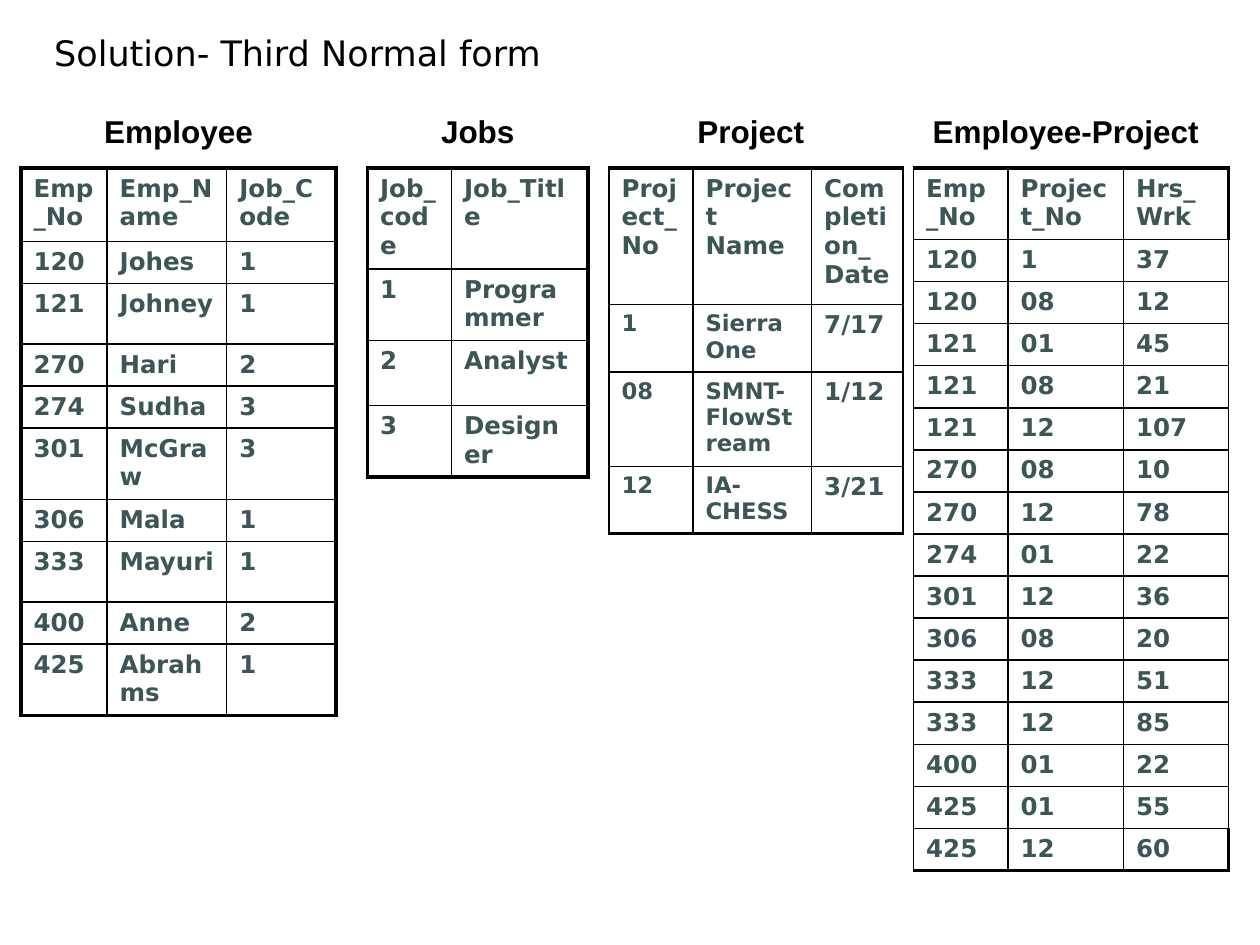
"""Build the third normal form slide: four titled relation tables."""
from lxml import etree
from pptx import Presentation, util as u
from pptx.dml.color import RGBColor
from pptx.enum import text as t
from pptx.oxml import ns

UNIT = u.Inches(1) // 12
THIN, THICK = 1, 2.25
INK, SLATE = "000000", "3C5658"


def write(frame, content, size=14, font="DejaVu Sans", color=SLATE, bold=True, align=None):
    para = frame.paragraphs[0]
    para.alignment = align
    span = para.add_run()
    span.text = content
    span.font.size = u.Pt(size)
    span.font.name = font
    span.font.bold = bold
    span.font.color.rgb = RGBColor.from_string(color)


def draw_borders(cell, **widths):
    properties = cell._tc.get_or_add_tcPr()
    for side in "LRTB":
        line = etree.SubElement(properties, ns.qn(f"a:ln{side}"), w=str(u.Pt(widths[side])))
        fill = etree.SubElement(line, ns.qn("a:solidFill"))
        etree.SubElement(fill, ns.qn("a:srgbClr"), val=INK)


deck = Presentation()
deck.slide_width, deck.slide_height = 120 * UNIT, 90 * UNIT
page = deck.slides.add_slide(deck.slide_layouts[6])

title = page.shapes.add_textbox(u.Inches(0.03), 2 * UNIT, u.Inches(7.31), u.Inches(0.47))
title.text_frame.word_wrap = True
title.text_frame.vertical_anchor = t.MSO_ANCHOR.BOTTOM
title.text_frame.margin_left = u.Inches(0.4)
write(title.text_frame, "Solution- Third Normal form", size=20, color=INK, bold=False)

assignments = [
    ("120", "1", "37"), ("120", "08", "12"), ("121", "01", "45"),
    ("121", "08", "21"), ("121", "12", "107"), ("270", "08", "10"),
    ("270", "12", "78"), ("274", "01", "22"), ("301", "12", "36"),
    ("306", "08", "20"), ("333", "12", "51"), ("333", "12", "85"),
    ("400", "01", "22"), ("425", "01", "55"), ("425", "12", "60"),
]
employees = [
    ("120", "Johes", "1"), ("121", "Johney", "1"), ("270", "Hari", "2"),
    ("274", "Sudha", "3"), ("301", "McGraw", "3"), ("306", "Mala", "1"),
    ("333", "Mayuri", "1"), ("400", "Anne", "2"), ("425", "Abrahms", "1"),
]
projects = [
    ("1", "Sierra One", "7/17"), ("08", "SMNT-FlowStream", "1/12"),
    ("12", "IA-CHESS", "3/21"),
]
jobs = [("1", "Programmer"), ("2", "Analyst"), ("3", "Designer")]

relations = [
    dict(name="Employee-Project", heading=(85, 33), left=87, columns=(9, 11, 10),
         rows=[6.7] + [3.95] * 15, edges=(THIN, THIN), corner=THICK, body=(14, 14, 14),
         records=[("Emp_No", "Project_No", "Hrs_Wrk")] + assignments),
    dict(name="Employee", heading=(3, 28), left=2, columns=(8.2, 11.4, 10.4),
         rows=[7, 4, 5.75, 4, 4, 6.7, 4, 5.75, 4, 6.7], edges=(THICK, THICK),
         corner=THICK, body=(14, 14, 14),
         records=[("Emp_No", "Emp_Name", "Job_Code")] + employees),
    dict(name="Project", heading=(58, 27), left=58, columns=(8, 11.3, 8.7),
         rows=[13, 6.2, 8.7, 6.2], edges=(THIN, THIN), corner=THIN, body=(13, 13, 14),
         records=[("Project_No", "Project Name", "Completion_Date")] + projects),
    dict(name="Jobs", heading=(35, 21), left=35, columns=(8, 13),
         rows=[9.45, 6.7, 6.2, 6.7], edges=(THICK, THICK), corner=THICK, body=(14, 14),
         records=[("Job_code", "Job_Title")] + jobs),
]

for relation in relations:
    columns, rows = relation["columns"], relation["rows"]
    table = page.shapes.add_table(
        len(rows), len(columns), relation["left"] * UNIT, 16 * UNIT,
        int(sum(columns) * UNIT), int(sum(rows) * UNIT)).table
    table.first_row = table.horz_banding = False
    for column, width in zip(table.columns, columns):
        column.width = int(width * UNIT)
    last_row, last_column = len(rows) - 1, len(columns) - 1
    for i, record in enumerate(relation["records"]):
        table.rows[i].height = int(rows[i] * UNIT)
        right_edge = relation["corner"] if i in (0, last_row) else relation["edges"][1]
        for j, value in enumerate(record):
            cell = table.cell(i, j)
            draw_borders(
                cell,
                L=relation["edges"][0] if j == 0 else THIN,
                R=right_edge if j == last_column else THIN,
                T=THICK if i == 0 else THIN,
                B=THICK if i == last_row else THIN)
            cell.fill.background()
            write(cell.text_frame, value, size=relation["body"][j] if i else 14)

for relation in sorted(relations, key=lambda item: item["left"]):
    left, width = relation["heading"]
    box = page.shapes.add_textbox(left * UNIT, 10 * UNIT, width * UNIT, 5 * UNIT)
    box.text_frame.word_wrap = False
    box.text_frame.vertical_anchor = t.MSO_ANCHOR.MIDDLE
    write(box.text_frame, relation["name"], size=18, font="Arial", color=INK,
          align=t.PP_ALIGN.CENTER)

deck.save("out.pptx")
